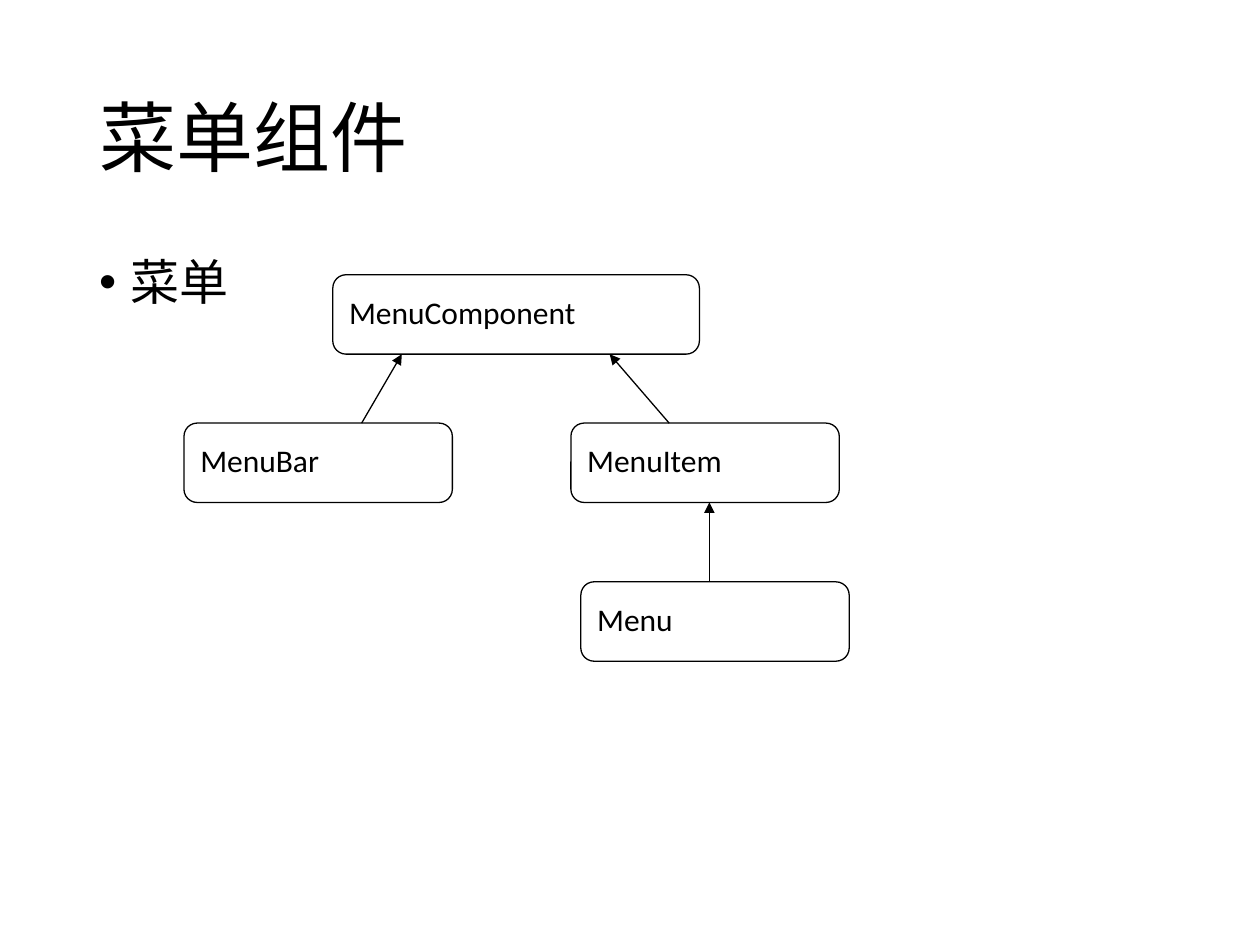
"""Build the menu component class hierarchy slide."""
from lxml import etree
from pptx import Presentation
from pptx.dml.color import RGBColor
from pptx.enum import shapes, text
from pptx.oxml import ns
from pptx.util import Cm, Pt

BLACK = RGBColor(0, 0, 0)
FONT = "Calibri"
TITLE = "菜单组件"
BULLET = "菜单"
LEFT, WIDE = 1.75, 21.9
TALL = 1.6
ROWS = (5.54, 8.53, 11.73)
NODES = [
    ("MenuComponent", 0, 6.71, 7.39),
    ("MenuBar", 1, 3.71, 5.41),
    ("MenuItem", 1, 11.51, 5.41),
    ("Menu", 2, 11.71, 5.41),
]
ARROWS = [(1, 7.29, 8.1), (1, 13.49, 12.29), (2, 14.3, 14.3)]


def write(frame, words, size, anchor):
    frame.word_wrap = True
    frame.vertical_anchor = anchor
    para = frame.paragraphs[0]
    para.alignment = text.PP_ALIGN.LEFT
    para.line_spacing = 0.9
    run = para.add_run()
    run.text = words
    run.font.name = FONT
    run.font.size = Pt(size)
    run.font.color.rgb = BLACK
    return para


def add_text(slide, words, top, tall, size, anchor):
    box = slide.shapes.add_textbox(Cm(LEFT), Cm(top), Cm(WIDE), Cm(tall))
    return write(box.text_frame, words, size, anchor)


def add_dot(para):
    props = para._p.get_or_add_pPr()
    props.set("marL", str(Cm(0.64)))
    props.set("indent", str(-Cm(0.64)))
    etree.SubElement(props, ns.qn("a:buFont"), typeface="Arial")
    etree.SubElement(props, ns.qn("a:buChar"), char="•")


def add_node(slide, name, row, left, wide):
    node = slide.shapes.add_shape(
        shapes.MSO_SHAPE.ROUNDED_RECTANGLE,
        Cm(left), Cm(ROWS[row]), Cm(wide), Cm(TALL))
    node.shadow.inherit = False
    node.fill.background()
    node.line.color.rgb = BLACK
    node.line.width = Pt(0.75)
    write(node.text_frame, name, 18, text.MSO_ANCHOR.MIDDLE)


def add_arrow(slide, row, start, end):
    arrow = slide.shapes.add_connector(
        shapes.MSO_CONNECTOR.STRAIGHT,
        Cm(start), Cm(ROWS[row]), Cm(end), Cm(ROWS[row - 1] + TALL))
    arrow.line.color.rgb = BLACK
    arrow.line.width = Pt(0.75)
    etree.SubElement(arrow.line._get_or_add_ln(), ns.qn("a:tailEnd"), type="triangle")
    etree.SubElement(arrow._element.spPr, ns.qn("a:effectLst"))


def main():
    deck = Presentation()
    deck.slide_width, deck.slide_height = Cm(25.4), Cm(19.05)
    slide = deck.slides.add_slide(deck.slide_layouts[6])
    add_text(slide, TITLE, 1.02, 3.68, 44, text.MSO_ANCHOR.MIDDLE)
    add_dot(add_text(slide, BULLET, 5.08, 12.09, 28, text.MSO_ANCHOR.TOP))
    for node in NODES:
        add_node(slide, *node)
    for arrow in ARROWS:
        add_arrow(slide, *arrow)
    deck.save("out.pptx")


if __name__ == "__main__":
    main()
